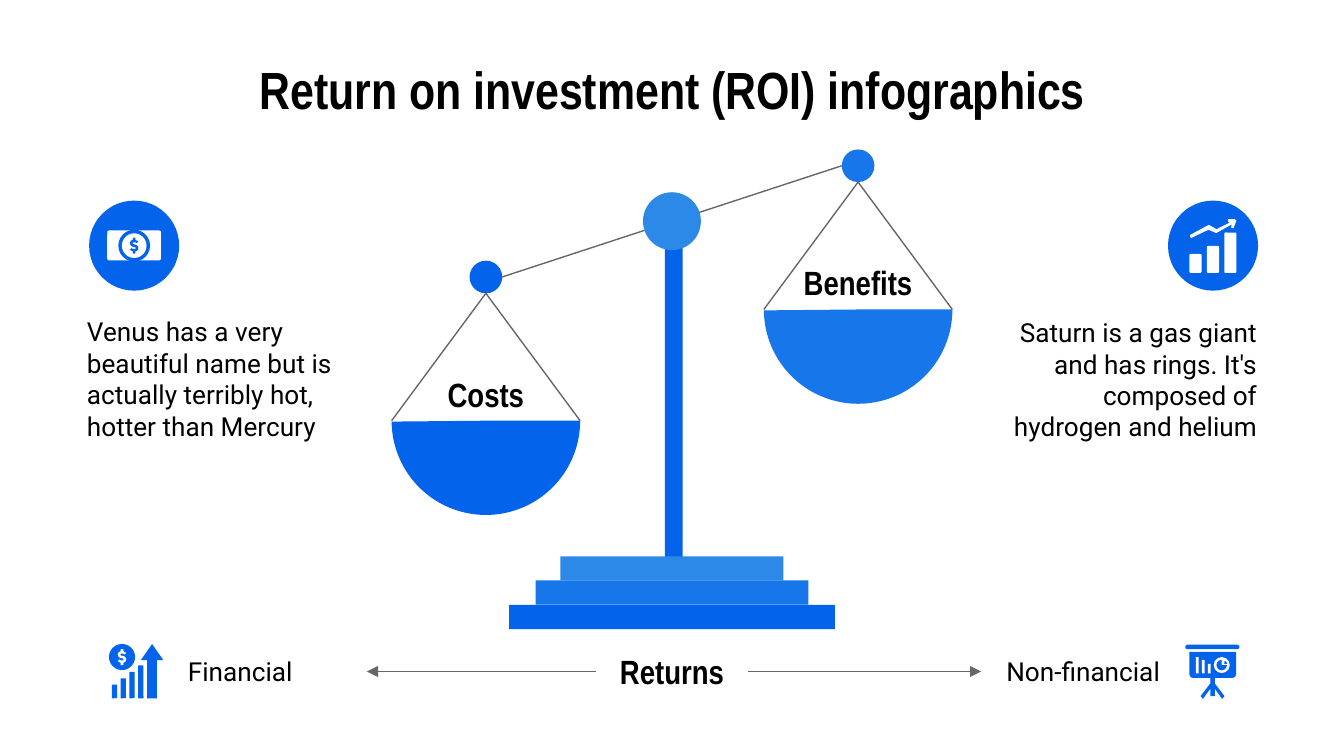
"""Build the return on investment slide with a tilted cost and benefit scale."""
from lxml.etree import SubElement
from pptx import Presentation
from pptx.dml.color import RGBColor
from pptx.enum.shapes import MSO_CONNECTOR, MSO_SHAPE
from pptx.enum.text import MSO_ANCHOR, MSO_AUTO_SIZE, PP_ALIGN
from pptx.oxml.ns import qn
from pptx.util import Pt

COLORS = {"deep": "0363EB", "mid": "1776E9", "light": "2C89E7",
          "line": "666666", "text": "000000", "white": "FFFFFF"}
FONTS = {
    "title": {"name": "Arial Narrow", "size": Pt(28), "bold": True},
    "label": {"name": "Arial Narrow", "size": Pt(18), "bold": True},
    "body": {"name": "Roboto", "size": Pt(14), "bold": False},
}
FRAME = {"word_wrap": True, "auto_size": MSO_AUTO_SIZE.NONE,
         "vertical_anchor": MSO_ANCHOR.MIDDLE,
         "margin_left": Pt(7.2), "margin_right": Pt(7.2),
         "margin_top": Pt(7.2), "margin_bottom": Pt(7.2)}

prs = Presentation()
prs.slide_width, prs.slide_height = Pt(720), Pt(405)
slide = prs.slides.add_slide(prs.slide_layouts[5])
shapes = slide.shapes


def add_block(kind, box, color, adjustments=()):
    block = shapes.add_shape(kind, *[Pt(value) for value in box])
    for index, value in enumerate(adjustments):
        block.adjustments[index] = value
    block.shadow.inherit = False
    block.fill.solid()
    block.fill.fore_color.rgb = RGBColor.from_string(COLORS[color])
    block.line.fill.background()


def add_outline(points, color):
    corners = [(Pt(x), Pt(y)) for x, y in points]
    builder = shapes.build_freeform(*corners[0])
    builder.add_line_segments(corners[1:])
    outline = builder.convert_to_shape()
    outline.shadow.inherit = False
    outline.fill.solid()
    outline.fill.fore_color.rgb = RGBColor.from_string(COLORS[color])
    outline.line.fill.background()


center = 360
pans = [("Costs", 260.3, 148.4, "deep"), ("Benefits", 459.7, 88.8, "mid")]
beam = shapes.add_connector(MSO_CONNECTOR.STRAIGHT,
                            Pt(269), Pt(148.4), Pt(451), Pt(88.8))
lines = [beam]
for label, x, y, color in pans:
    add_block(MSO_SHAPE.PIE, (x - 50.5, y + 26.5, 101, 101), color, (0, 107.68))
    add_block(MSO_SHAPE.OVAL, (x - 8.75, y - 8.75, 17.5, 17.5), color)
    for side in (-50.5, 50.5):
        lines.append(shapes.add_connector(MSO_CONNECTOR.STRAIGHT, Pt(x), Pt(y + 8.75),
                                          Pt(x + side), Pt(y + 77)))

add_block(MSO_SHAPE.RECTANGLE, (356.2, 128, 9.5, 171.5), "deep")
for step, (width, color) in enumerate([(119.5, "light"), (146, "mid"), (174.5, "deep")]):
    add_block(MSO_SHAPE.RECTANGLE, (center - width / 2, 298 + 13 * step, width, 13), color)
add_block(MSO_SHAPE.OVAL, (344.5, 103, 31, 31), "light")

title = shapes.title
texts = [
    ("Returns", (319.5, 345, 81, 29.5), "label", PP_ALIGN.CENTER),
    ("Financial", (93.6, 345.75, 103, 28), "body", PP_ALIGN.LEFT),
    ("Non-financial", (525.6, 345.75, 103, 28), "body", PP_ALIGN.RIGHT),
    ("Venus has a very beautiful name but is actually terribly hot, hotter than Mercury",
     (39.5, 141.3, 145.5, 123), "body", PP_ALIGN.LEFT),
    ("Saturn is a gas giant and has rings. It's composed of hydrogen and helium",
     (535, 141.8, 145.5, 123), "body", PP_ALIGN.RIGHT),
    ("Return on investment (ROI) infographics", (36, 32.5, 648, 29.5), "title", PP_ALIGN.CENTER),
]
for label, x, y, _ in pans:
    texts.append((label, (x - 40.5, y + 47.75, 81, 29.5), "label", PP_ALIGN.CENTER))

boxes = {}
for wording, box, style, align in texts:
    left, top, width, height = [Pt(value) for value in box]
    if style == "title":
        holder = title
        holder.left, holder.top, holder.width, holder.height = left, top, width, height
    else:
        holder = shapes.add_textbox(left, top, width, height)
    frame = holder.text_frame
    for name, value in FRAME.items():
        setattr(frame, name, value)
    paragraph = frame.paragraphs[0]
    paragraph.alignment = align
    run = paragraph.add_run()
    run.text = wording
    for name, value in FONTS[style].items():
        setattr(run.font, name, value)
    run.font.color.rgb = RGBColor.from_string(COLORS["text"])
    boxes[wording] = holder

arrows = []
for target, start_side, end_side in [("Financial", 1, 3), ("Non-financial", 3, 1)]:
    arrow = shapes.add_connector(MSO_CONNECTOR.STRAIGHT, 0, 0, 0, 0)
    arrow.begin_connect(boxes["Returns"], start_side)
    arrow.end_connect(boxes[target], end_side)
    arrows.append(arrow)

for line in lines + arrows:
    line.line.width = Pt(0.75)
    line.line.color.rgb = RGBColor.from_string(COLORS["line"])
    SubElement(line._element.spPr, qn("a:effectLst"))
for arrow in arrows:
    SubElement(arrow.line._get_or_add_ln(), qn("a:tailEnd"), type="triangle")

for x in (47.75, 625.75):
    add_block(MSO_SHAPE.OVAL, (x, 107.5, 48.25, 48.25), "deep")

add_block(MSO_SHAPE.ROUNDED_RECTANGLE, (57.5, 123.5, 28.75, 16), "white", (0.06,))
for radius, color in [(8.5, "deep"), (6.6, "white")]:
    add_block(MSO_SHAPE.OVAL, (71.9 - radius, 131.6 - radius, 2 * radius, 2 * radius), color)
add_block(MSO_SHAPE.OVAL, (58.4, 345, 14, 14), "deep")

half_dollar = [(2.2, -2.3), (0.7, -3.1), (0.7, -4.3), (-0.7, -4.3), (-0.7, -3.1),
               (-1.8, -2.6), (-2.3, -1.3), (-1.8, 0), (-0.6, 0.6), (0.6, 0.8),
               (0.9, 1.3), (0.6, 1.8), (-0.7, 1.8), (-1.5, 1.3)]
dollar = half_dollar + [(-x, -y) for x, y in half_dollar]
for dollar_x, dollar_y, color in [(71.9, 131.6, "deep"), (65.4, 352, "white")]:
    add_outline([(dollar_x + x, dollar_y + y) for x, y in dollar], color)

add_block(MSO_SHAPE.ROUNDED_RECTANGLE, (635, 345.4, 29, 2.4), "deep", (0.5,))
add_block(MSO_SHAPE.ROUND_2_SAME_RECTANGLE, (637.2, 349.2, 25, 14), "deep", (0, 0.14))
add_block(MSO_SHAPE.OVAL, (650.2, 352, 8.6, 8.6), "white")
add_block(MSO_SHAPE.PIE, (651.7, 353.5, 5.6, 5.6), "deep", (0, 162))
add_block(MSO_SHAPE.PIE, (654.4, 354.2, 3, 3), "deep", (162, 0))
add_outline([(648.4, 363), (648.4, 366.2), (643.2, 373), (644.5, 374.4), (648.4, 369),
             (648.4, 373), (650.8, 373), (650.8, 369), (654.7, 374.4), (656, 373),
             (650.8, 366.2), (650.8, 363)], "deep")

bar_sets = [
    (637.2, 9.35, 6.5, 146.2, (136.1, 131.8, 124.6), "white"),
    (59.9, 4.7, 2.9, 374.1, (366.8, 363.4, 360, 356.5), "deep"),
    (640.6, 3.25, 1.5, 360.8, (352, 353.6, 355.7), "white"),
]
for left, pitch, width, bottom, tops, color in bar_sets:
    for index, top in enumerate(tops):
        add_block(MSO_SHAPE.ROUNDED_RECTANGLE,
                  (left + index * pitch, top, width, bottom - top), color, (0.1,))

add_block(MSO_SHAPE.UP_ARROW, (75.5, 345, 12, 29.1), "deep", (0.44, 0.72))
add_outline([(658, 117.4), (658, 118.9), (659, 119.2), (651.8, 122.8), (648, 120.7),
             (647.2, 120.7), (637.4, 126), (638, 127.6), (647.4, 123.1), (651.6, 124.9),
             (660, 120.2), (659.5, 121.9), (660.8, 122.4), (662.4, 118.2),
             (661.5, 117.4)], "white")

prs.save("out.pptx")
